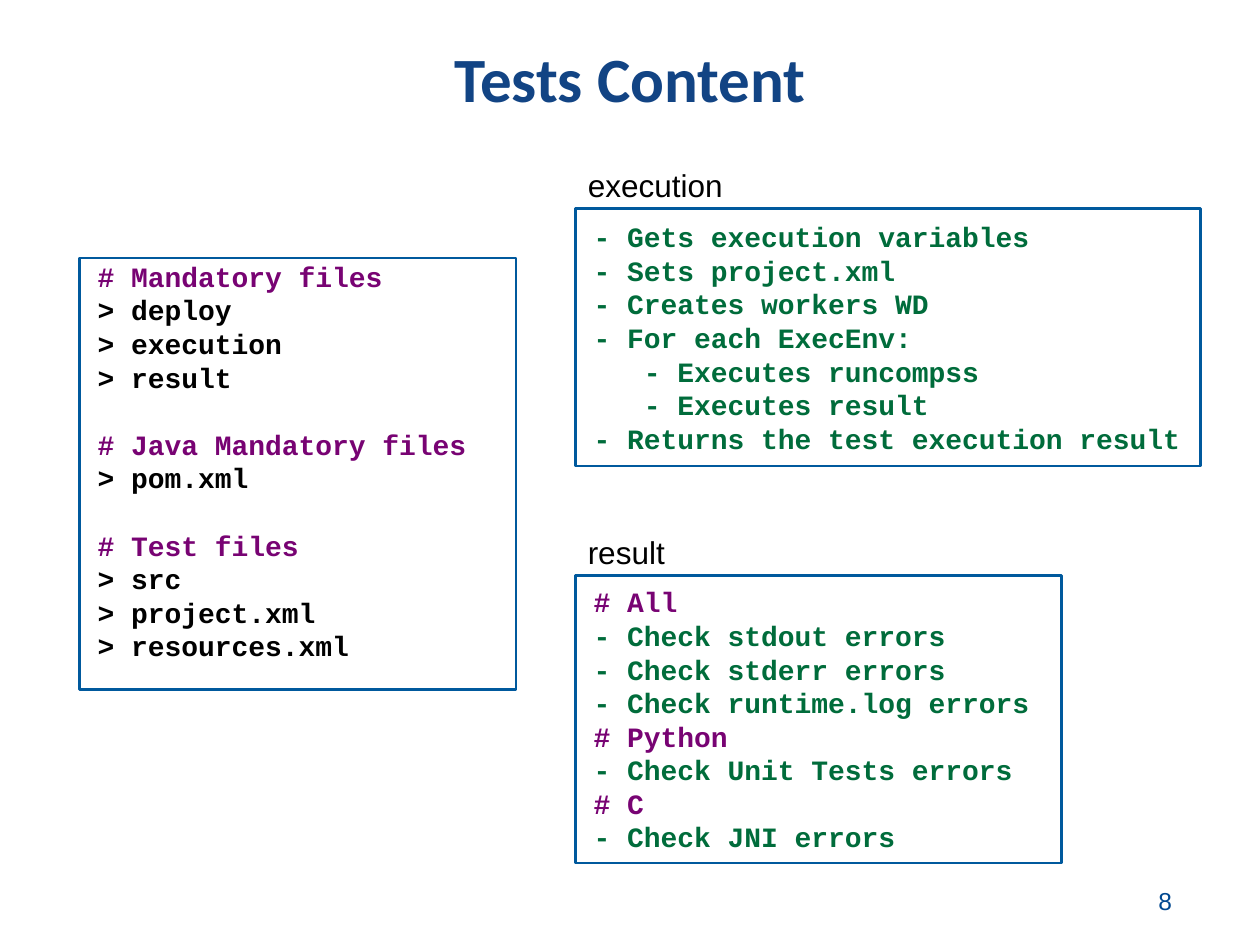
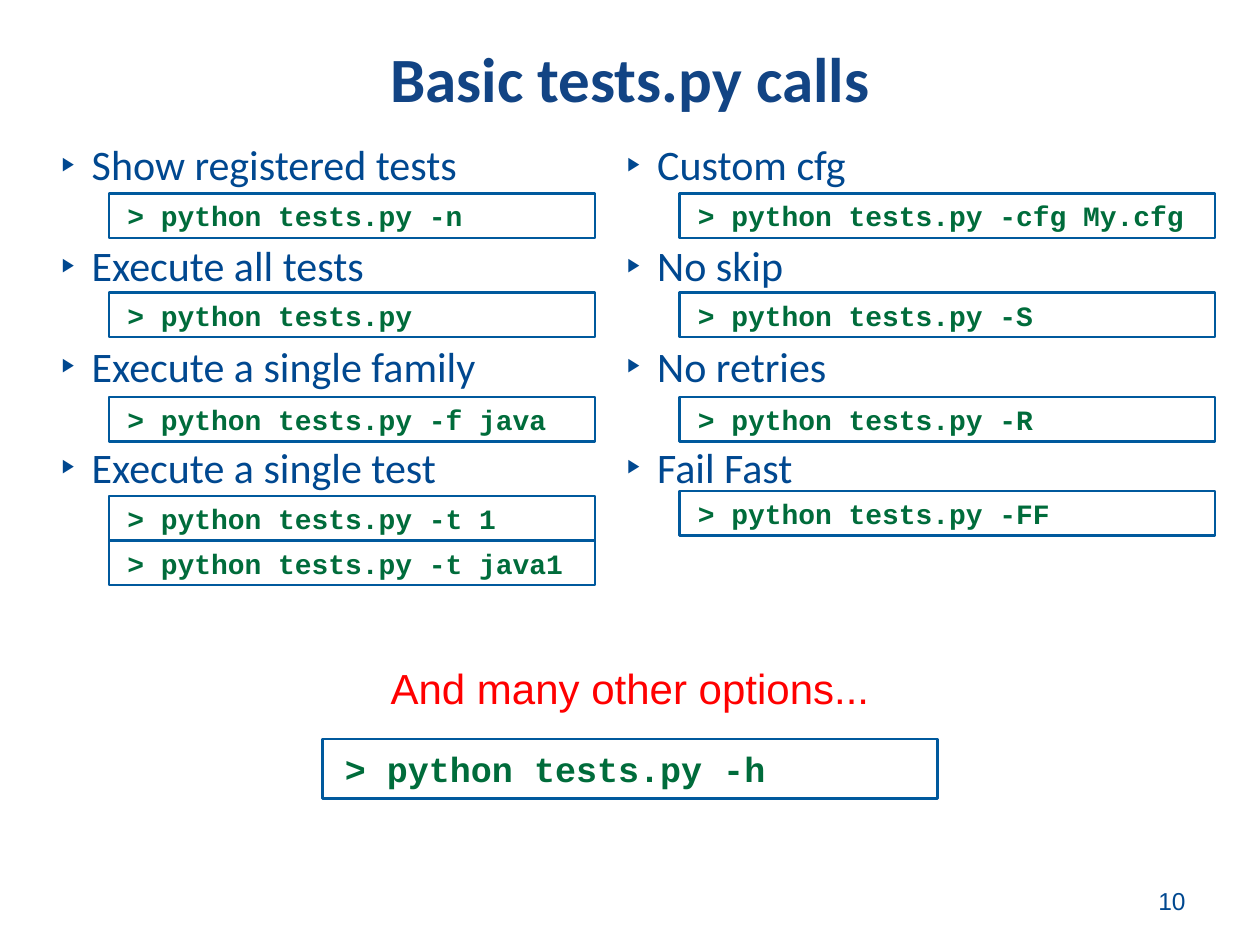
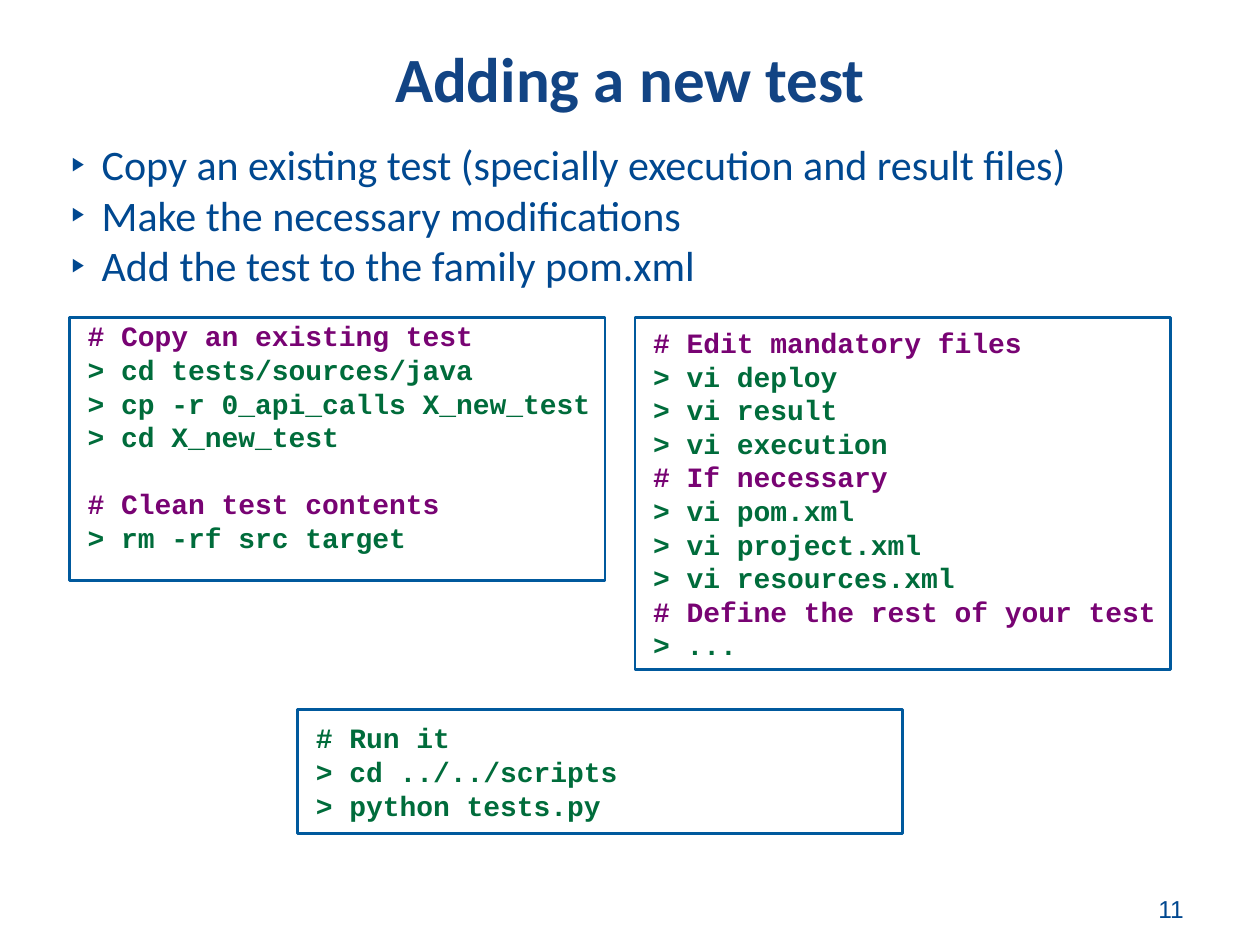
from lxml import etree
from pptx import Presentation
from pptx.dml.color import RGBColor
from pptx.enum.shapes import MSO_SHAPE
from pptx.enum.text import MSO_ANCHOR, MSO_AUTO_SIZE, PP_ALIGN
from pptx.oxml.ns import qn
from pptx.util import Cm, Pt

LEFT, CENTER = PP_ALIGN.LEFT, PP_ALIGN.CENTER
TOP, MIDDLE = MSO_ANCHOR.TOP, MSO_ANCHOR.MIDDLE
RECTANGLE = MSO_SHAPE.RECTANGLE
NO_AUTOFIT = MSO_AUTO_SIZE.NONE

LINE_HEIGHT = 1.2
BODY_SIZE = 24
CODE_SIZE = 16
MONO_ADVANCE = 0.6

MANDATORY_FILES = """# Mandatory files
> deploy
> execution
> result

# Java Mandatory files
> pom.xml

# Test files
> src
> project.xml
> resources.xml"""

EXECUTION_STEPS = """- Gets execution variables
- Sets project.xml
- Creates workers WD
- For each ExecEnv:
   - Executes runcompss
   - Executes result
- Returns the test execution result"""

RESULT_CHECKS = """# All
- Check stdout errors
- Check stderr errors
- Check runtime.log errors
# Python
- Check Unit Tests errors
# C
- Check JNI errors"""

COPY_TEST = """# Copy an existing test
> cd tests/sources/java
> cp -r 0_api_calls X_new_test
> cd X_new_test

# Clean test contents
> rm -rf src target"""

EDIT_FILES = """# Edit mandatory files
> vi deploy
> vi result
> vi execution
# If necessary
> vi pom.xml
> vi project.xml
> vi resources.xml
# Define the rest of your test
> ..."""

RUN_TEST = """# Run it
> cd ../../scripts
> python tests.py"""


def rgb(value):
    """Turn a hex string into a colour."""
    return RGBColor.from_string(value)


def add_bullet(paragraph, color):
    """Give a paragraph a hanging triangle bullet."""
    properties = paragraph._p.get_or_add_pPr()
    properties.set("marL", str(Cm(0.6)))
    properties.set("indent", str(-Cm(0.6)))
    bullet_color = etree.SubElement(properties, qn("a:buClr"))
    etree.SubElement(bullet_color, qn("a:srgbClr"), val=color)
    etree.SubElement(properties, qn("a:buSzPct"), val="45000")
    etree.SubElement(properties, qn("a:buFont"), typeface="Arial")
    etree.SubElement(properties, qn("a:buChar"), char="▶")


def write(paragraph, text, *, size, color, font="Arial", bold=False,
          align=LEFT, spacing=None, before=0, bullet=False):
    """Fill a paragraph with formatted text."""
    if bullet:
        add_bullet(paragraph, color)
    paragraph.alignment = align
    paragraph.space_before = Pt(before)
    if spacing:
        paragraph.line_spacing = spacing
    run = paragraph.add_run()
    run.text = text
    run.font.name = font
    run.font.size = Pt(size)
    run.font.bold = bold
    run.font.color.rgb = rgb(color)


def next_paragraph(frame, index):
    """Return the first paragraph of a frame or add another."""
    return frame.add_paragraph() if index else frame.paragraphs[0]


class Deck:
    """Hold the shared style and the slide being built."""

    TITLE = "124484"
    BODY = "004890"
    BORDER = "00599D"
    HEADING = "780373"
    COMMAND = "006C3B"
    BLACK = "000000"
    ALERT = "FF0000"

    def __init__(self):
        """Start an empty presentation."""
        self.presentation = Presentation()
        self.presentation.slide_width = Cm(25.4)
        self.presentation.slide_height = Cm(19.05)
        self.slide = None

    def start(self, title, number, number_top=17.73):
        """Add a slide with its title and number."""
        layout = self.presentation.slide_layouts[5]
        self.slide = self.presentation.slides.add_slide(layout)
        heading = self.slide.shapes.title
        heading.left, heading.top = Cm(0), Cm(0.69)
        heading.width, heading.height = Cm(25.4), Cm(1.93)
        frame = heading.text_frame
        frame.auto_size = NO_AUTOFIT
        frame.vertical_anchor = MIDDLE
        write(frame.paragraphs[0], title, size=36, color=self.TITLE,
              font="Calibri", bold=True, align=CENTER, spacing=0.9)
        self.label(number, 23.1, number_top, 2.77, 0.82, size=14,
                   color=self.BODY, wrap=False)

    def frame(self, left, top, width, height, wrap=True):
        """Add a text box and return its text frame."""
        box = self.slide.shapes.add_textbox(
            Cm(left), Cm(top), Cm(width), Cm(height))
        box.text_frame.word_wrap = wrap
        return box.text_frame

    def label(self, text, left, top, width, height, *, wrap=True,
              anchor=TOP, **style):
        """Add a single line of text."""
        frame = self.frame(left, top, width, height, wrap)
        frame.vertical_anchor = anchor
        write(frame.paragraphs[0], text, **style)

    def bullets(self, items, left, top, width, height, gap=0):
        """Add a bulleted list with an equal gap between items."""
        frame = self.frame(left, top, width, height)
        for index, item in enumerate(items):
            write(next_paragraph(frame, index), item, size=BODY_SIZE,
                  color=self.BODY, font="Calibri", bullet=True,
                  spacing=Pt(BODY_SIZE * LINE_HEIGHT),
                  before=gap if index else 0)

    def code(self, text, left, top, width, height, *, size=CODE_SIZE,
             color=COMMAND, heading=HEADING, anchor=MIDDLE):
        """Add an outlined box of code, with blank lines as spacing."""
        box = self.slide.shapes.add_shape(
            RECTANGLE, Cm(left), Cm(top), Cm(width), Cm(height))
        box.shadow.inherit = False
        box.fill.background()
        box.line.color.rgb = rgb(self.BORDER)
        box.line.width = Pt(1.42)
        frame = box.text_frame
        frame.word_wrap = True
        frame.vertical_anchor = anchor
        frame.margin_top = frame.margin_bottom = frame.margin_right = Cm(0.03)
        frame.margin_left = Cm(0.03) + Pt(size * MONO_ADVANCE)
        line_height = size * LINE_HEIGHT
        index = 0
        for block in text.split("\n\n"):
            for position, line in enumerate(block.split("\n")):
                starts_block = index and not position
                write(next_paragraph(frame, index), line, size=size,
                      color=heading if line.startswith("#") else color,
                      font="Courier New", bold=True, spacing=Pt(line_height),
                      before=line_height if starts_block else 0)
                index += 1


def build_contents(deck):
    """Build the slide on the files of a test."""
    deck.start("Tests Content", "8")
    deck.code(MANDATORY_FILES, 1.6, 5.2, 8.8, 8.7, color=deck.BLACK,
              anchor=TOP)
    scripts = [("execution", EXECUTION_STEPS, 4.2, 12.6, 5.2),
               ("result", RESULT_CHECKS, 11.6, 9.8, 5.8)]
    for name, steps, top, width, height in scripts:
        deck.code(steps, 11.6, top, width, height)
        deck.label(name, 11.6, top - 0.98, 6, 0.97, size=18,
                   color=deck.BLACK)


def build_calls(deck):
    """Build the slide on the command line calls."""
    deck.start("Basic tests.py calls", "10")
    columns = [
        (1, 12.2, 2.2, 9.8,
         ["Show registered tests", "Execute all tests",
          "Execute a single family", "Execute a single test"],
         [("-n", 3.9), ("", 5.9), ("-f java", 8), ("-t 1", 10),
          ("-t java1", 10.9)]),
        (12.4, 11.2, 13.7, 10.8,
         ["Custom cfg", "No skip", "No retries", "Fail Fast"],
         [("-cfg My.cfg", 3.9), ("-S", 5.9), ("-R", 8), ("-FF", 9.9)]),
    ]
    for list_left, list_width, left, width, purposes, calls in columns:
        deck.bullets(purposes, list_left, 2.67, list_width, 8,
                     gap=BODY_SIZE * LINE_HEIGHT)
        for options, top in calls:
            deck.code(f"> python tests.py {options}".rstrip(),
                      left, top, width, 0.9)
    deck.label("And many other options...", 0, 12.8, 25.4, 2.13,
               anchor=MIDDLE, size=24, color=deck.ALERT, align=CENTER)
    deck.code("> python tests.py -h", 6.5, 14.9, 12.4, 1.2, size=20)


def build_new_test(deck):
    """Build the slide on adding a test."""
    deck.start("Adding a new test", "11", number_top=17.9)
    deck.bullets(
        ["Copy an existing test (specially execution and result files)",
         "Make the necessary modifications",
         "Add the test to the family pom.xml"], 1.2, 2.67, 22.4, 3.3)
    deck.code(COPY_TEST, 1.4, 6.4, 10.8, 5.3, anchor=TOP)
    deck.code(EDIT_FILES, 12.8, 6.4, 10.8, 7.1)
    deck.code(RUN_TEST, 6, 14.3, 12.2, 2.5, heading=deck.COMMAND)


def main():
    """Build and save the deck."""
    deck = Deck()
    build_contents(deck)
    build_calls(deck)
    build_new_test(deck)
    deck.presentation.save("out.pptx")


if __name__ == "__main__":
    main()
